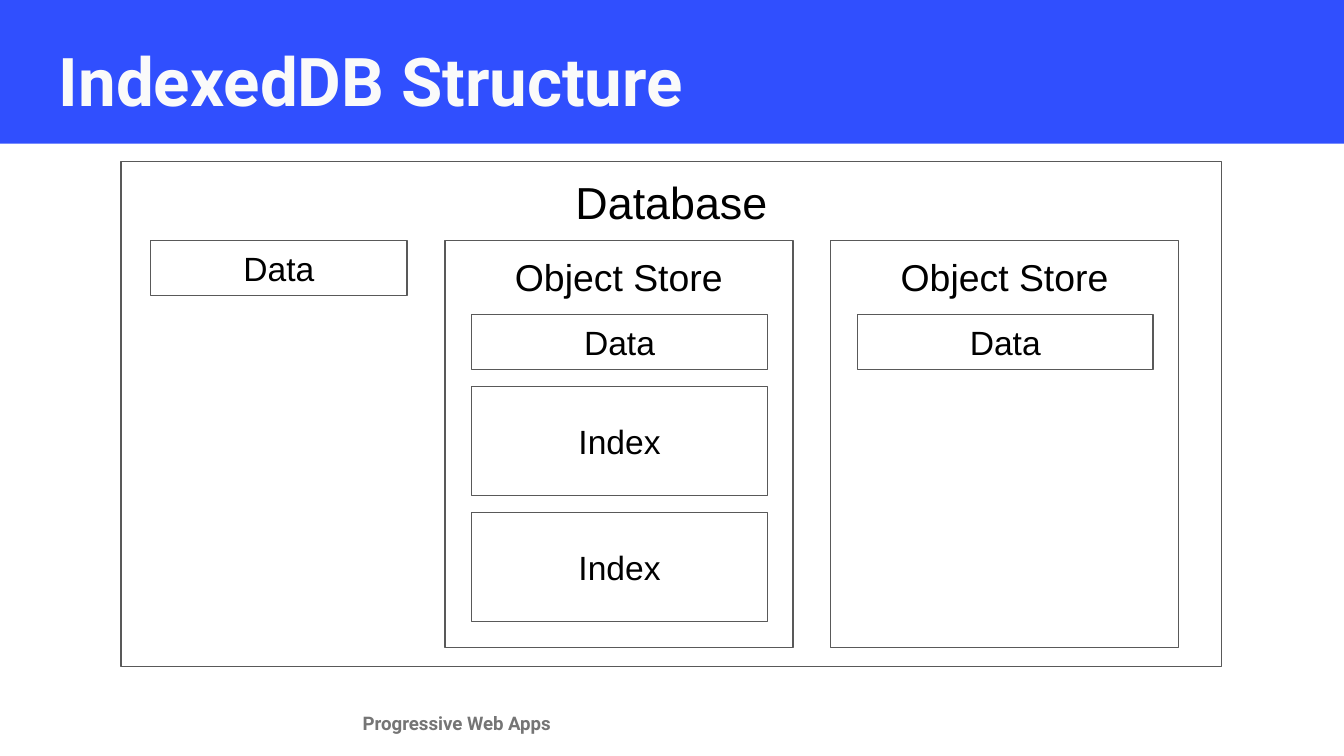
from typing import NamedTuple

from pptx import Presentation
from pptx.dml.color import RGBColor
from pptx.enum.shapes import MSO_SHAPE as Shape
from pptx.enum.text import MSO_ANCHOR as Anchor, PP_ALIGN as Align
from pptx.util import Inches, Pt

# A 16:9 slide; grid of 100 columns across, with square cells
WIDTH = 10
HEIGHT = WIDTH * 9 / 16
PITCH = WIDTH / 100
BLUE, WHITE, OFF_WHITE = "304FFE", "FFFFFF", "FAFAFA"
OUTLINE, BLACK, GREY = "595959", "000000", "757575"


class Area(NamedTuple):
    col: float
    row: float
    cols: float
    rows: float


class Style(NamedTuple):
    size: float
    font: str = "Arial"
    color: str = BLACK
    bold: bool = False
    align: Align = Align.CENTER
    anchor: Anchor = Anchor.TOP


class Box(NamedTuple):
    label: str
    area: Area
    style: Style


DATABASE = Style(24)
STORE = Style(20)
ITEM = Style(18, anchor=Anchor.MIDDLE)
TITLE = Style(36, "Roboto", OFF_WHITE, True, Align.LEFT)
FOOTER = Style(10, "Roboto", GREY, True, Align.LEFT)


def rgb(value: str) -> RGBColor:
    return RGBColor.from_string(value)


def place(area: Area) -> list:
    return [Inches(n * PITCH) for n in area]


def write(sp, text: str, style: Style) -> None:
    tf = sp.text_frame
    tf.word_wrap = True
    tf.vertical_anchor = style.anchor
    tf.margin_left = tf.margin_right = Inches(0.1)
    tf.margin_top = tf.margin_bottom = Inches(0.1)
    p = tf.paragraphs[0]
    p.text = text
    p.alignment = style.align
    font = p.runs[0].font
    font.name, font.size, font.bold = style.font, Pt(style.size), style.bold
    font.color.rgb = rgb(style.color)


def add_rect(s, area: Area, fill: str, line: str | None = None):
    sp = s.shapes.add_shape(Shape.RECTANGLE, *place(area))
    sp.shadow.inherit = False
    sp.fill.solid()
    sp.fill.fore_color.rgb = rgb(fill)
    if line:
        sp.line.color.rgb = rgb(line)
        sp.line.width = Pt(0.75)
    else:
        sp.line.fill.background()
    return sp


def add_box(s, box: Box) -> None:
    write(add_rect(s, box.area, WHITE, OUTLINE), box.label, box.style)


def add_text(s, text: str, area: Area, style: Style) -> None:
    write(s.shapes.add_textbox(*place(area)), text, style)


def store_boxes(col: float, indexes: int) -> list[Box]:
    """An object store with its data and a stack of indexes."""
    inner = col + 2
    boxes = [
        Box("Object Store", Area(col, 17.9, 25.9, 30.3), STORE),
        Box("Data", Area(inner, 23.4, 22, 4.1), ITEM),
    ]
    for i in range(indexes):
        boxes.append(Box("Index", Area(inner, 28.75 + 9.4 * i, 22, 8.1), ITEM))
    return boxes


def main() -> None:
    prs = Presentation()
    prs.slide_width, prs.slide_height = Inches(WIDTH), Inches(HEIGHT)
    s = prs.slides.add_slide(prs.slide_layouts[6])

    # Footer and title band
    add_text(s, "Progressive Web Apps", Area(26, 52.1, 57.9, 2.5), FOOTER)
    add_rect(s, Area(-0.1, -0.4, 100.1, 11.1), BLUE)

    # Database with its own data and two object stores
    boxes = [
        Box("Database", Area(9, 12, 81.9, 37.6), DATABASE),
        Box("Data", Area(11.2, 17.9, 19.1, 4.1), ITEM),
        *store_boxes(33.1, indexes=2),
        *store_boxes(61.8, indexes=0),
    ]
    for box in boxes:
        add_box(s, box)

    # Title
    add_text(s, "IndexedDB Structure", Area(3.4, 1.9, 93.2, 6.3), TITLE)

    prs.save("out.pptx")


if __name__ == "__main__":
    main()
